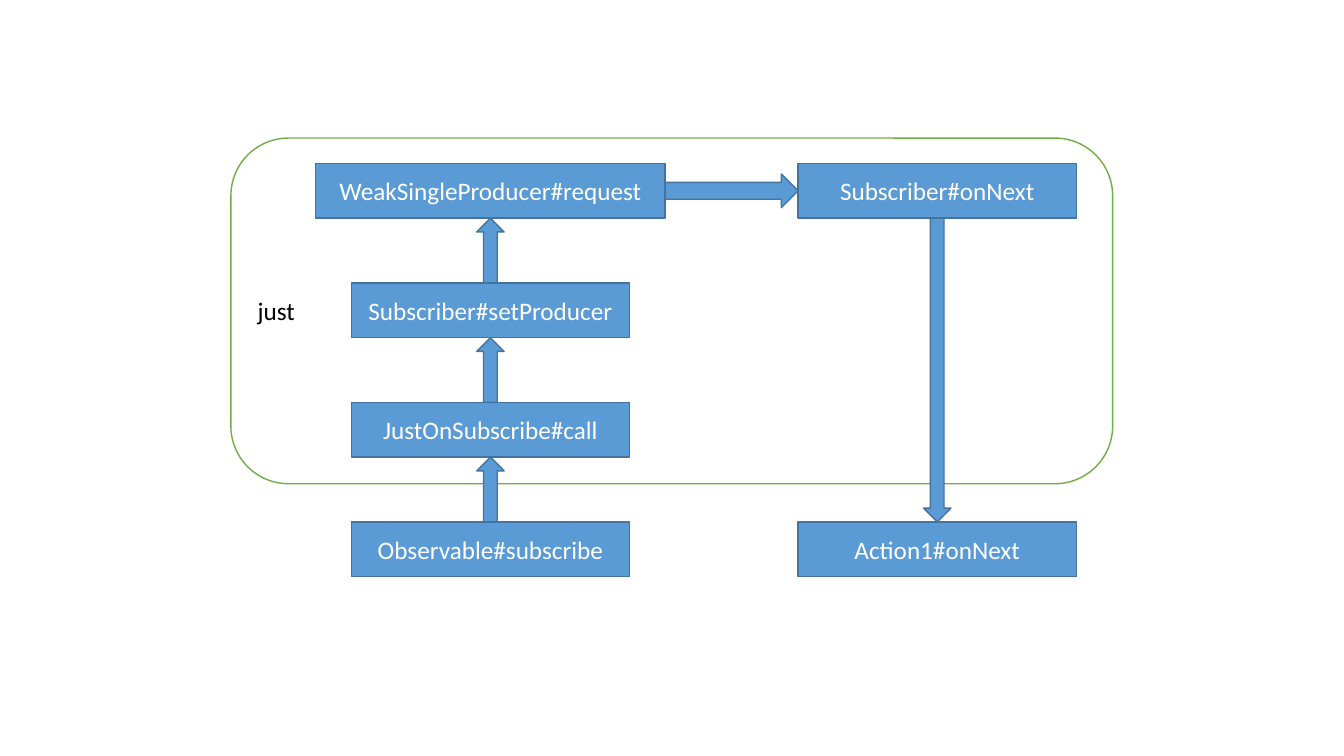
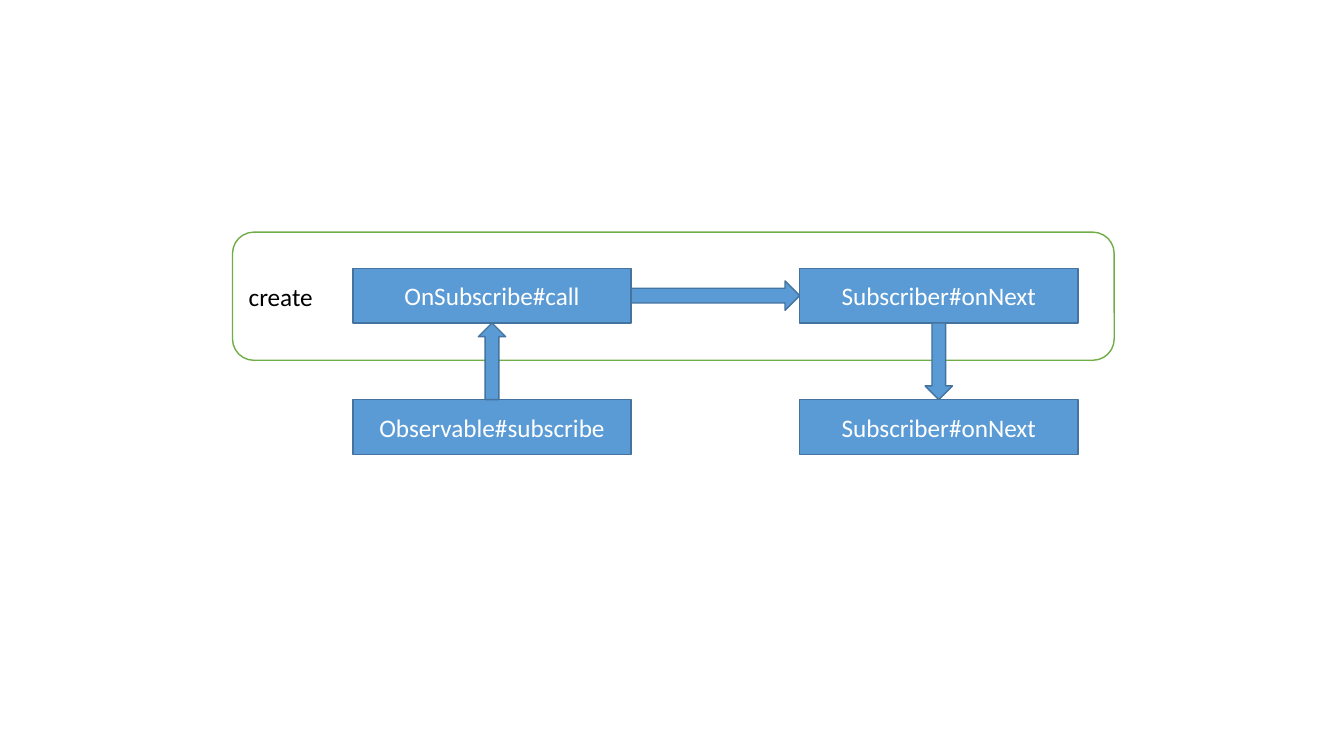
from dataclasses import dataclass

from pptx import Presentation
from pptx.dml.color import RGBColor
from pptx.enum.shapes import MSO_SHAPE
from pptx.enum.text import MSO_ANCHOR, PP_ALIGN
from pptx.util import Cm, Pt


@dataclass(frozen=True)
class Theme:
    font: str = "Calibri"
    text_size: int = 18
    line_width: int = 1
    node_fill: str = "5B9BD5"
    node_line: str = "43739E"
    node_text: str = "FFFFFF"
    frame_fill: str = "FFFFFF"
    frame_line: str = "70AD47"
    frame_text: str = "000000"


THEME = Theme()
NODE_WIDTH = 7.01
WIDE_NODE_WIDTH = 8.81
NODE_HEIGHT = 1.38
FRAME_WIDTH = 22.22
VERTICAL_ARROW = 0.69


def set_attributes(target, values):
    for name, value in values.items():
        setattr(target, name, value)


def add_block(shapes, kind, box, fill, line):
    shape = shapes.add_shape(kind, *box)
    shape.shadow.inherit = False
    shape.fill.solid()
    shape.fill.fore_color.rgb = RGBColor.from_string(fill)
    shape.line.color.rgb = RGBColor.from_string(line)
    shape.line.width = Pt(THEME.line_width)
    return shape


def write_text(shape, text, color, alignment):
    set_attributes(shape.text_frame, {
        "word_wrap": True,
        "vertical_anchor": MSO_ANCHOR.MIDDLE,
    })
    paragraph = shape.text_frame.paragraphs[0]
    paragraph.alignment = alignment
    run = paragraph.add_run()
    run.text = text
    set_attributes(run.font, {"name": THEME.font, "size": Pt(THEME.text_size)})
    run.font.color.rgb = RGBColor.from_string(color)


def add_frame(shapes, text, left, top, height):
    box = [Cm(value) for value in (left, top, FRAME_WIDTH, height)]
    frame = add_block(shapes, MSO_SHAPE.ROUNDED_RECTANGLE, box,
                      THEME.frame_fill, THEME.frame_line)
    write_text(frame, text, THEME.frame_text, PP_ALIGN.LEFT)


def add_node(shapes, text, center, top, width=NODE_WIDTH):
    box = [Cm(value) for value in (center - width / 2, top, width, NODE_HEIGHT)]
    node = add_block(shapes, MSO_SHAPE.RECTANGLE, box,
                     THEME.node_fill, THEME.node_line)
    write_text(node, text, THEME.node_text, PP_ALIGN.CENTER)
    return node


def add_vertical_arrow(shapes, source, target):
    upward = target.top < source.top
    upper, lower = (target, source) if upward else (source, target)
    kind = MSO_SHAPE.UP_ARROW if upward else MSO_SHAPE.DOWN_ARROW
    thickness = Cm(VERTICAL_ARROW)
    top = upper.top + upper.height
    left = source.left + (source.width - thickness) // 2
    add_block(shapes, kind, (left, top, thickness, lower.top - top),
              THEME.node_fill, THEME.node_line)


def add_right_arrow(shapes, source, target, thickness):
    left = source.left + source.width
    height = Cm(thickness)
    top = source.top + (source.height - height) // 2
    add_block(shapes, MSO_SHAPE.RIGHT_ARROW,
              (left, top, target.left - left, height),
              THEME.node_fill, THEME.node_line)


def add_flow(shapes, rising, falling, centers, top, pitch, right_arrow):
    last_row = top + (len(rising) - 1) * pitch
    climb = [
        add_node(shapes, text, centers[0], last_row - row * pitch, width)
        for row, (text, width) in enumerate(rising)
    ]
    descent = [
        add_node(shapes, text, centers[1], row_top)
        for text, row_top in zip(falling, (top, last_row))
    ]
    for source, target in zip(climb, climb[1:]):
        add_vertical_arrow(shapes, source, target)
    add_right_arrow(shapes, climb[-1], descent[0], right_arrow)
    add_vertical_arrow(shapes, *descent)


def build_just(slide):
    shapes = slide.shapes.add_group_shape().shapes
    add_frame(shapes, "just", left=5.82, top=3.48, height=8.71)
    rising = [
        ("Observable#subscribe", NODE_WIDTH),
        ("JustOnSubscribe#call", NODE_WIDTH),
        ("Subscriber#setProducer", NODE_WIDTH),
        ("WeakSingleProducer#request", WIDE_NODE_WIDTH),
    ]
    add_flow(shapes, rising, ["Subscriber#onNext", "Action1#onNext"],
             centers=(12.36, 23.62), top=4.12, pitch=3.01, right_arrow=0.85)


def build_create(slide):
    add_frame(slide.shapes, "create", left=5.86, top=5.85, height=3.23)
    rising = [
        ("Observable#subscribe", NODE_WIDTH),
        ("OnSubscribe#call", NODE_WIDTH),
    ]
    add_flow(slide.shapes, rising, ["Subscriber#onNext", "Subscriber#onNext"],
             centers=(12.4, 23.66), top=6.76, pitch=3.31, right_arrow=0.74)


def main():
    presentation = Presentation()
    set_attributes(presentation, {
        "slide_width": Cm(33.87),
        "slide_height": Cm(19.05),
    })
    blank_layout = presentation.slide_layouts.get_by_name("Blank")
    for build in (build_just, build_create):
        build(presentation.slides.add_slide(blank_layout))
    presentation.save("out.pptx")


main()
